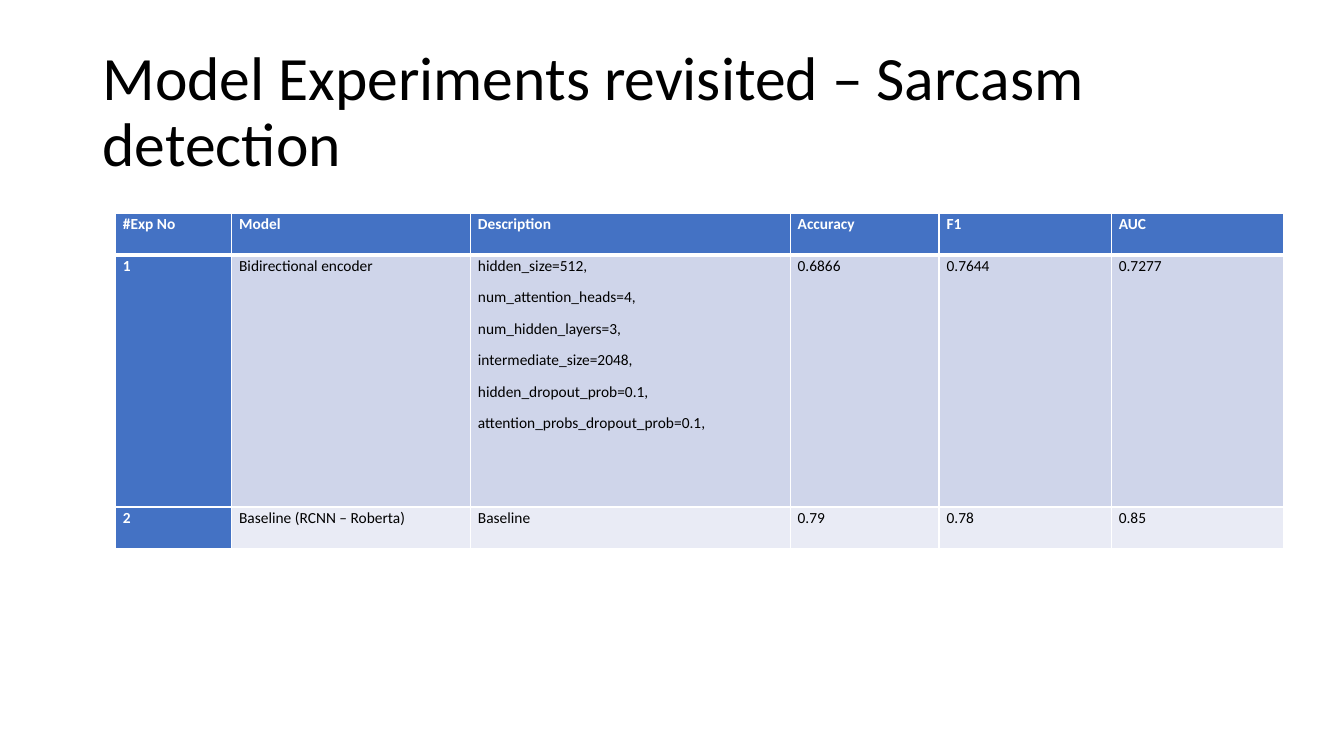
from lxml.etree import SubElement
from pptx import Presentation
from pptx.dml.color import RGBColor
from pptx.enum.text import MSO_ANCHOR, MSO_AUTO_SIZE, PP_ALIGN
from pptx.oxml.ns import qn
from pptx.util import Pt

BLUE, LIGHT, PALE = "4472C4", "CFD5EA", "E9EBF5"
WHITE, BLACK = "FFFFFF", "000000"


def color(value):
    return RGBColor.from_string(value)


def add_borders(cell, widths):
    """Draw white cell borders; widths are in points, keyed by side."""
    properties = cell._tc.get_or_add_tcPr()
    for position, (side, width) in enumerate(widths.items()):
        line = SubElement(properties, qn(f"a:ln{side}"), w=str(Pt(width)))
        fill = SubElement(line, qn("a:solidFill"))
        SubElement(fill, qn("a:srgbClr"), val=WHITE)
        properties.insert(position, line)


presentation = Presentation()
presentation.slide_width, presentation.slide_height = Pt(960), Pt(540)
slide = presentation.slides.add_slide(presentation.slide_layouts[5])

# Title
title = slide.shapes.title
title.left, title.top, title.width, title.height = Pt(66), Pt(28.75), Pt(851), Pt(104.4)
title_frame = title.text_frame
title_frame.text = "Model Experiments revisited – Sarcasm detection"
title_frame.word_wrap = True
title_frame.auto_size = MSO_AUTO_SIZE.NONE
title_frame.vertical_anchor = MSO_ANCHOR.MIDDLE
title_paragraph = title_frame.paragraphs[0]
title_paragraph.alignment = PP_ALIGN.LEFT
title_paragraph.line_spacing = 0.9
title_format = {"name": "Calibri", "size": Pt(44)}
for attribute, value in title_format.items():
    setattr(title_paragraph.font, attribute, value)
title_paragraph.font.color.rgb = color(BLACK)

# Experiment results
settings = [
    "hidden_size=512,",
    "num_attention_heads=4,",
    "num_hidden_layers=3,",
    "intermediate_size=2048,",
    "hidden_dropout_prob=0.1,",
    "attention_probs_dropout_prob=0.1,",
]
results = [
    ["#Exp No", "Model", "Description", "Accuracy", "F1", "AUC"],
    ["1", "Bidirectional encoder", "\n".join(settings), "0.6866", "0.7644", "0.7277"],
    ["2", "Baseline (RCNN – Roberta)", "Baseline", "0.79", "0.78", "0.85"],
]
column_widths = [83, 170.6, 228.4, 106.4, 123, 123]
row_heights = [29.8, 180, 29.8]
row_fills = [BLUE, LIGHT, PALE]

# Table grid
table = slide.shapes.add_table(
    len(results), len(column_widths), Pt(82.4), Pt(152.4),
    Pt(sum(column_widths)), Pt(sum(row_heights))).table
table.first_col = True
for column, width in zip(table.columns, column_widths):
    column.width = Pt(width)
for row, height in zip(table.rows, row_heights):
    row.height = Pt(height)

# Table cells
cell_format = {"margin_left": Pt(5.4), "margin_right": Pt(5.4),
               "margin_top": 0, "margin_bottom": 0,
               "vertical_anchor": MSO_ANCHOR.TOP}
paragraph_format = {"line_spacing": 1.07, "space_after": Pt(8),
                    "alignment": PP_ALIGN.LEFT}
for row_index, texts in enumerate(results):
    for column_index, text in enumerate(texts):
        cell = table.cell(row_index, column_index)
        is_heading = row_index == 0 or column_index == 0
        cell.text = text
        for attribute, value in cell_format.items():
            setattr(cell, attribute, value)
        cell.fill.solid()
        cell.fill.fore_color.rgb = color(BLUE if is_heading else row_fills[row_index])
        add_borders(cell, {"L": 1, "R": 1, "T": 3 if row_index == 1 else 1,
                           "B": 3 if row_index == 0 else 1})
        font_format = {"name": "Calibri", "size": Pt(11), "bold": is_heading}
        for paragraph in cell.text_frame.paragraphs:
            for attribute, value in paragraph_format.items():
                setattr(paragraph, attribute, value)
            for attribute, value in font_format.items():
                setattr(paragraph.font, attribute, value)
            paragraph.font.color.rgb = color(WHITE if is_heading else BLACK)

presentation.save("out.pptx")
